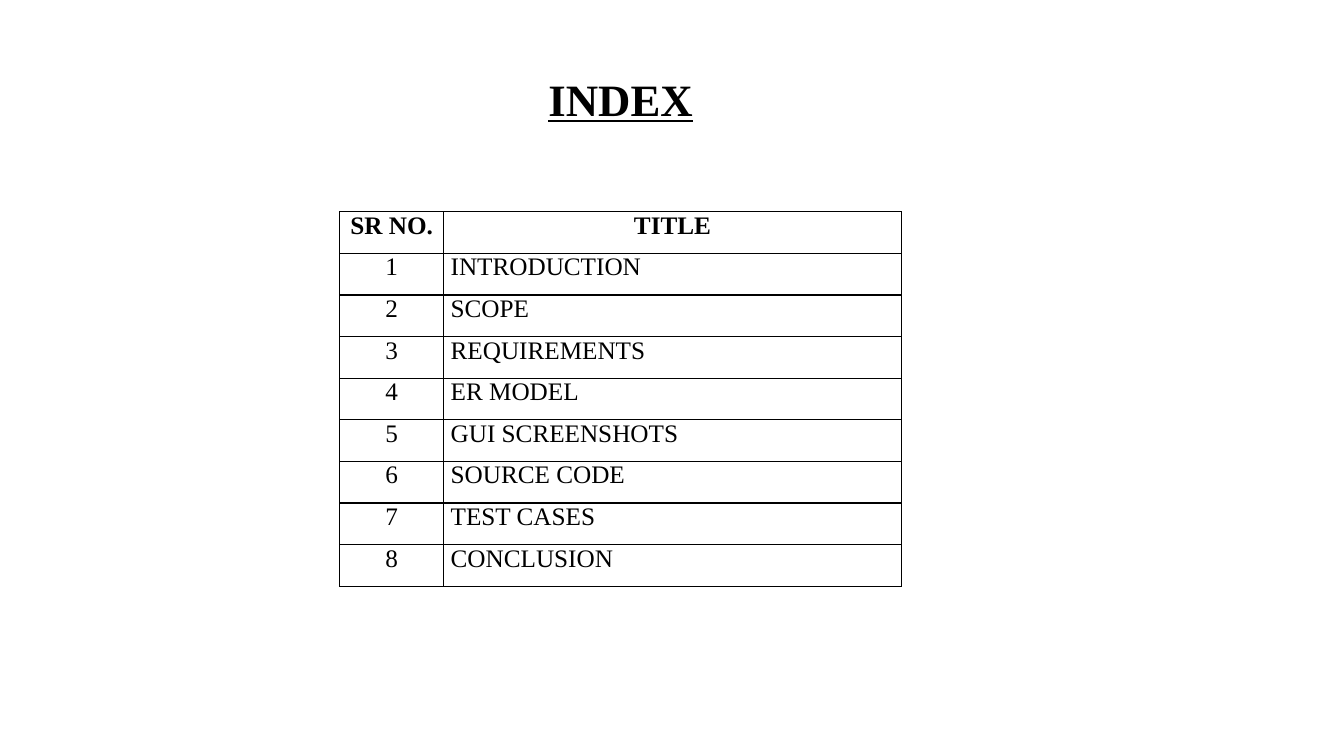
import pptx
import pptx.util
import pptx.dml.color
import pptx.enum.text
import pptx.oxml
import pptx.oxml.ns

COLOURS = {"ink": "000000", "paper": "FFFFFF"}
FONT = "Times New Roman"
WIDTH, HEIGHT = 13.33, 7.5
TITLES = ["INTRODUCTION", "SCOPE", "REQUIREMENTS", "ER MODEL", "GUI SCREENSHOTS",
          "SOURCE CODE", "TEST CASES", "CONCLUSION"]
COLUMN_WIDTHS = [1.03, 4.54]
TABLE_LEFT, TABLE_TOP, TABLE_HEIGHT = 3.37, 2.1, 3.72
ALIGN = pptx.enum.text.PP_ALIGN
inches = pptx.util.Inches


def colour(name):
    return pptx.dml.color.RGBColor.from_string(COLOURS[name])


def write(frame, text, size=18, bold=False, underline=False, align=ALIGN.LEFT):
    para = frame.paragraphs[0]
    para.alignment = align
    span = para.add_run()
    span.text = text
    span.font.name = FONT
    span.font.size = pptx.util.Pt(size)
    span.font.bold = bold
    span.font.underline = underline
    span.font.color.rgb = colour("ink")
    return para


def set_insets(target, left, top, right, bottom):
    target.margin_left, target.margin_top = inches(left), inches(top)
    target.margin_right, target.margin_bottom = inches(right), inches(bottom)


def add_borders(cell):
    properties = cell._tc.get_or_add_tcPr()
    namespace = pptx.oxml.ns.nsdecls("a")
    for position, side in enumerate(("lnL", "lnR", "lnT", "lnB")):
        line = pptx.oxml.parse_xml(
            f'<a:{side} {namespace} w="{pptx.util.Pt(1)}"><a:solidFill>'
            f'<a:srgbClr val="{COLOURS["ink"]}"/></a:solidFill></a:{side}>')
        properties.insert(position, line)


def add_heading(page, text):
    box = page.shapes.add_textbox(inches(4.84), inches(0.61), inches(2.75), inches(0.94))
    frame = box.text_frame
    frame.word_wrap = True
    set_insets(frame, 0.1, 0.1, 0.1, 0.05)
    para = write(frame, text, size=32, bold=True, underline=True, align=ALIGN.JUSTIFY)
    para._p.get_or_add_pPr().set("indent", str(inches(0.5)))


def add_index_table(page, rows):
    table = page.shapes.add_table(
        len(rows), len(COLUMN_WIDTHS), inches(TABLE_LEFT), inches(TABLE_TOP),
        inches(sum(COLUMN_WIDTHS)), inches(TABLE_HEIGHT)).table
    table.horz_banding = False
    for column, width in zip(table.columns, COLUMN_WIDTHS):
        column.width = inches(width)
    for row_number, row in enumerate(rows):
        for column_number, text in enumerate(row):
            cell = table.cell(row_number, column_number)
            header = row_number == 0
            set_insets(cell, 0.07, 0, 0.07, 0)
            cell.fill.background()
            add_borders(cell)
            centred = header or column_number == 0
            write(cell.text_frame, text, bold=header,
                  align=ALIGN.CENTER if centred else ALIGN.LEFT)


def main():
    deck = pptx.Presentation()
    deck.slide_width, deck.slide_height = inches(WIDTH), inches(HEIGHT)
    page = deck.slides.add_slide(deck.slide_layouts[6])
    page.background.fill.solid()
    page.background.fill.fore_color.rgb = colour("paper")
    entries = [(str(number), title) for number, title in enumerate(TITLES, 1)]
    add_index_table(page, [("SR NO.", "TITLE")] + entries)
    add_heading(page, "INDEX")
    deck.save("out.pptx")


main()
